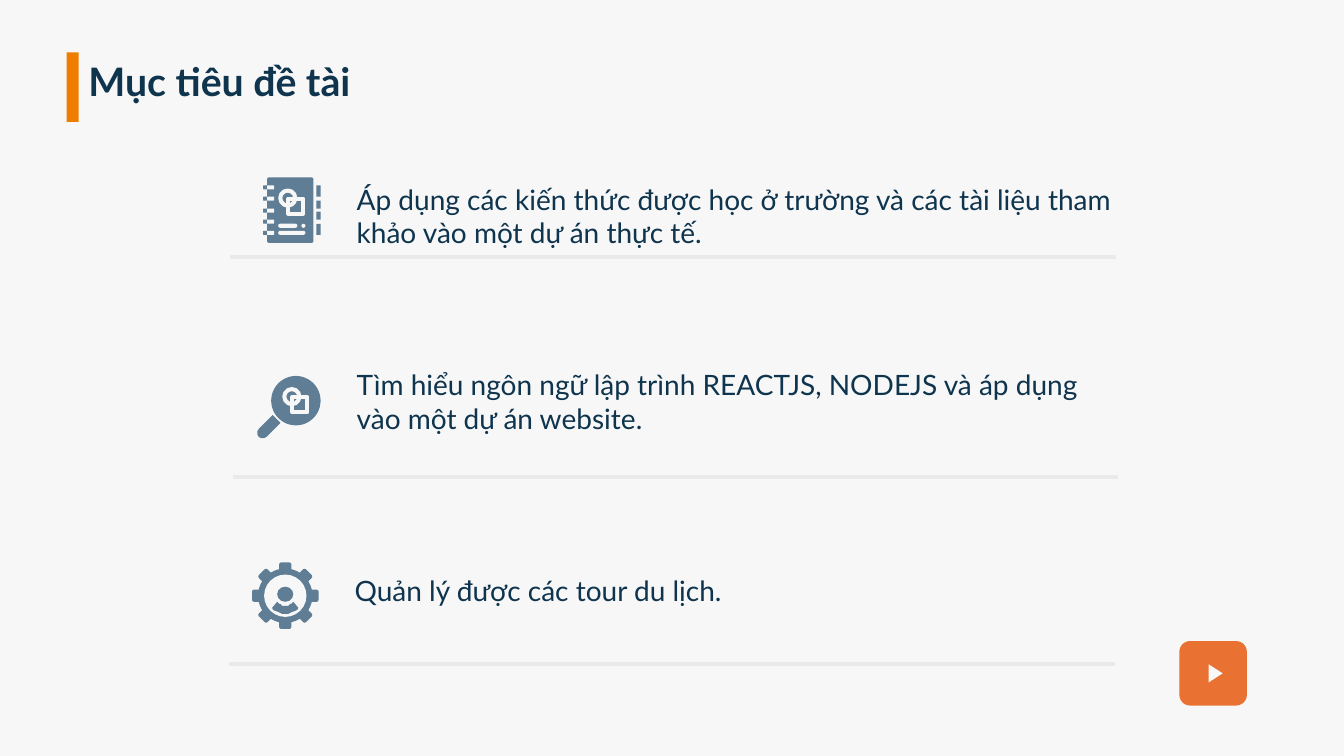
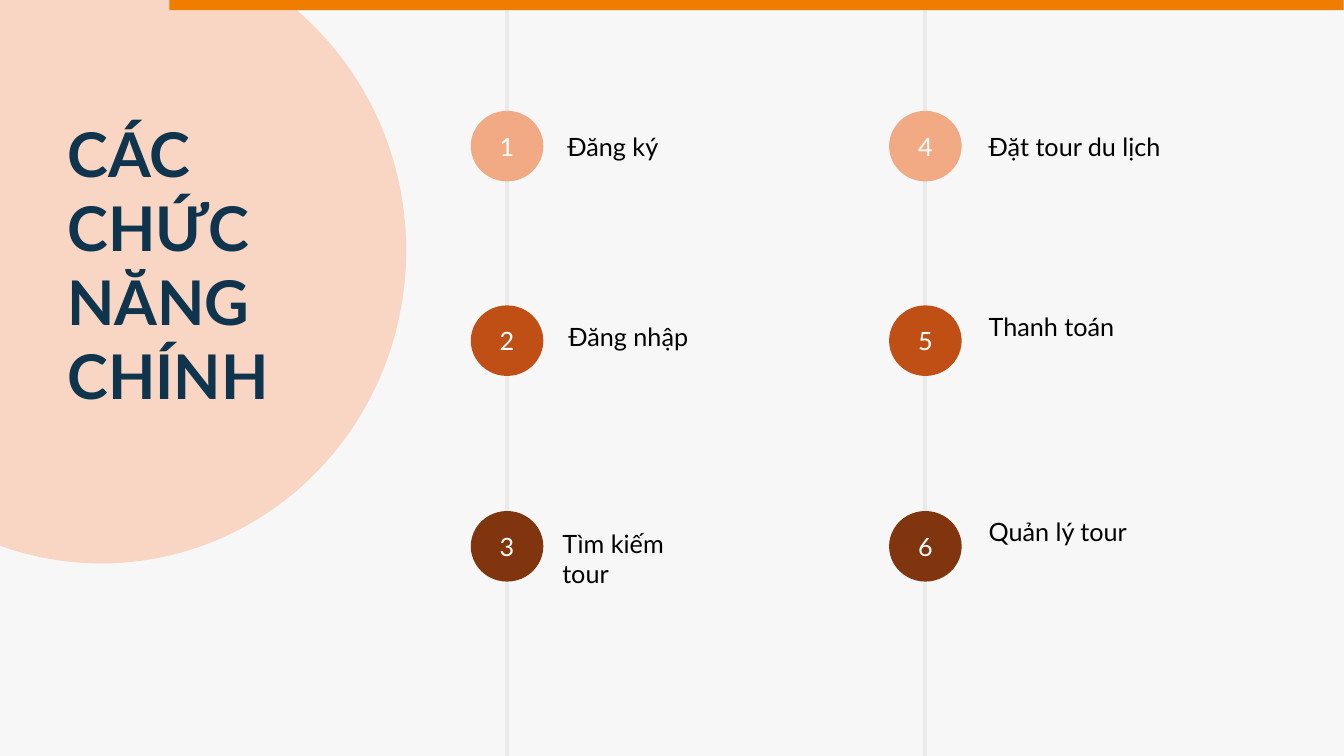
import math

import lxml.etree
import pptx
import pptx.dml.color
import pptx.enum.shapes
import pptx.enum.text
import pptx.oxml.ns
import pptx.util

PX = 9144  # 100 px to the inch
W, H = 1333, 750
FONT = "Lato"
PAPER, NAVY, ORANGE = "F7F7F7", "0E344E", "EE7D00"
RULE, ICON, WHITE, BLACK = "EAEAEA", "5F7D95", "FFFFFF", "000000"

hexc = pptx.dml.color.RGBColor.from_string
MSO = pptx.enum.shapes.MSO_SHAPE
RECT, ROUND, OVAL = MSO.RECTANGLE, MSO.ROUNDED_RECTANGLE, MSO.OVAL


def add(s, kind, x, y, w, h, fill=None, stroke=None, rot=0):
    sp = s.shapes.add_shape(kind, x * PX, y * PX, w * PX, h * PX)
    sp.shadow.inherit = False
    sp.rotation = rot
    if fill:
        sp.fill.solid()
        sp.fill.fore_color.rgb = hexc(fill)
    else:
        sp.fill.background()
    if stroke:
        sp.line.color.rgb = hexc(stroke)
        sp.line.width = 4 * PX
    else:
        sp.line.fill.background()
    return sp


def write(sp, lines, size, color, bold=False, align=None):
    tf = sp.text_frame
    tf.word_wrap = True
    for i, line in enumerate(lines):
        p = tf.paragraphs[0] if i == 0 else tf.add_paragraph()
        p.alignment = align
        r = p.add_run()
        r.text = line
        r.font.name = FONT
        r.font.size = pptx.util.Pt(size)
        r.font.bold = bold
        r.font.color.rgb = hexc(color)


prs = pptx.Presentation()
prs.slide_width, prs.slide_height = pptx.util.Inches(13.333), H * PX

# Both slides: background and grey rules
rules = [
    [(228, 255, 1107, 255), (231, 473, 1109, 473), (227, 659, 1106, 659)],
    [(503, 0, 503, H), (918, 0, 918, H)],
]
slides = []
for ends in rules:
    s = prs.slides.add_slide(prs.slide_layouts[6])
    s.background.fill.solid()
    s.background.fill.fore_color.rgb = hexc(PAPER)
    for end in ends:
        c = s.shapes.add_connector(
            pptx.enum.shapes.MSO_CONNECTOR.STRAIGHT, *[v * PX for v in end])
        c.line.color.rgb = hexc(RULE)
        c.line.width = pptx.util.Pt(3)
        lxml.etree.SubElement(c._element.spPr, pptx.oxml.ns.qn("a:effectLst"))
    slides.append(s)
goals, features = slides

# Goals: title mark, title and the three goals
add(goals, RECT, 66, 52, 12, 69, ORANGE)
goal_texts = [
    (78, 52, 340, 57, "Mục tiêu đề tài", 28, True),
    (344, 176, 780, 77, "Áp dụng các kiến thức được học ở trường và các tài liệu "
     "tham khảo vào một dự án thực tế.", 20, False),
    (344, 360, 780, 77, "Tìm hiểu ngôn ngữ lập trình REACTJS, NODEJS và áp dụng "
     "vào một dự án website.", 20, False),
    (342, 564, 530, 44, "Quản lý được các tour du lịch.", 20, False),
]
for x, y, w, h, text, size, bold in goal_texts:
    tb = goals.shapes.add_textbox(x * PX, y * PX, w * PX, h * PX)
    write(tb, [text], size, NAVY, bold)

# Notebook icon: page, binding, tabs and text lines
add(goals, ROUND, 265, 176, 46, 65, ICON).adjustments[0] = 0.04
for y in (184, 195, 207, 218, 229):
    add(goals, ROUND, 261, y, 8, 4, ICON)
    add(goals, ROUND, 265, y, 7, 4, PAPER)
for y, h in ((184, 11), (199, 8), (210, 8), (222, 11)):
    add(goals, RECT, 314, y, 4, h, ICON)
for x, y, w in ((276, 222, 19), (299, 222, 4), (276, 229, 27)):
    add(goals, ROUND, x, y, w, 4, PAPER).adjustments[0] = 0.5

# Magnifier icon: handle and lens
add(goals, MSO.ROUND_2_SAME_RECTANGLE, 260, 412, 11, 25, ICON,
    rot=225).adjustments[0] = 0.5
add(goals, OVAL, 269, 373, 49, 49, ICON)

# Circle and square symbol on the notebook and the lens
for x, y in ((278, 189), (282, 386)):
    add(goals, OVAL, x, y, 15, 15, stroke=PAPER)
    add(goals, RECT, x + 8, y + 8, 15, 15, stroke=PAPER)

# Gear icon: teeth, ring and person
cx, cy = 283, 591
for angle in range(0, 180, 45):
    add(goals, ROUND, cx - 6, cy - 33, 12, 66, ICON, rot=angle)
for r, fill in ((27, ICON), (21, PAPER)):
    add(goals, OVAL, cx - r, cy - r, 2 * r, 2 * r, fill)
add(goals, OVAL, 275, 582, 16, 15, ICON)
arc = [(18, a) for a in range(42, 139, 8)] + [(10, a) for a in range(146, 33, -8)]
points = [(cx + r * math.cos(math.radians(a)), cy + r * math.sin(math.radians(a)))
          for r, a in arc]
outline = goals.shapes.build_freeform(*points[0], scale=PX)
outline.add_line_segments(points[1:])
shoulders = outline.convert_to_shape()
shoulders.shadow.inherit = False
shoulders.fill.solid()
shoulders.fill.fore_color.rgb = hexc(ICON)
shoulders.line.fill.background()

# Play button
add(goals, ROUND, 1170, 636, 67, 64, "E97132")
add(goals, MSO.ISOSCELES_TRIANGLE, 1197, 661, 18, 14, "F8F8F8", rot=90)

# Features: disc, top band and heading
add(features, OVAL, -202, -62, 605, 621, "F9D6C3")
add(features, RECT, 168, 0, W - 168, 10, ORANGE)
tb = features.shapes.add_textbox(57 * PX, 110 * PX, 246 * PX, 306 * PX)
write(tb, ["CÁC", "CHỨC", "NĂNG", "CHÍNH"], 44, NAVY, True)

# Numbered features in two columns of three
rows = [(110, "F2AA84"), (303, "C04F15"), (507, "80350E")]
labels = [
    (553, 125, 119, "Đăng ký"), (554, 314, 144, "Đăng nhập"),
    (548, 519, 167, "Tìm kiếm tour"), (971, 125, 221, "Đặt tour du lịch"),
    (971, 304, 236, "Thanh toán"), (971, 507, 236, "Quản lý tour"),
]
for i, (x, y, w, label) in enumerate(labels):
    col, row = divmod(i, 3)
    top, fill = rows[row]
    dot = add(features, MSO.FLOWCHART_CONNECTOR, 467 + 415 * col, top, 72, 70, fill)
    dot.text_frame.vertical_anchor = pptx.enum.text.MSO_ANCHOR.MIDDLE
    write(dot, [str(i + 1)], 18, WHITE, align=pptx.enum.text.PP_ALIGN.CENTER)
    tb = features.shapes.add_textbox(x * PX, y * PX, w * PX, 40 * PX)
    write(tb, [label], 18, BLACK)

prs.save("out.pptx")
